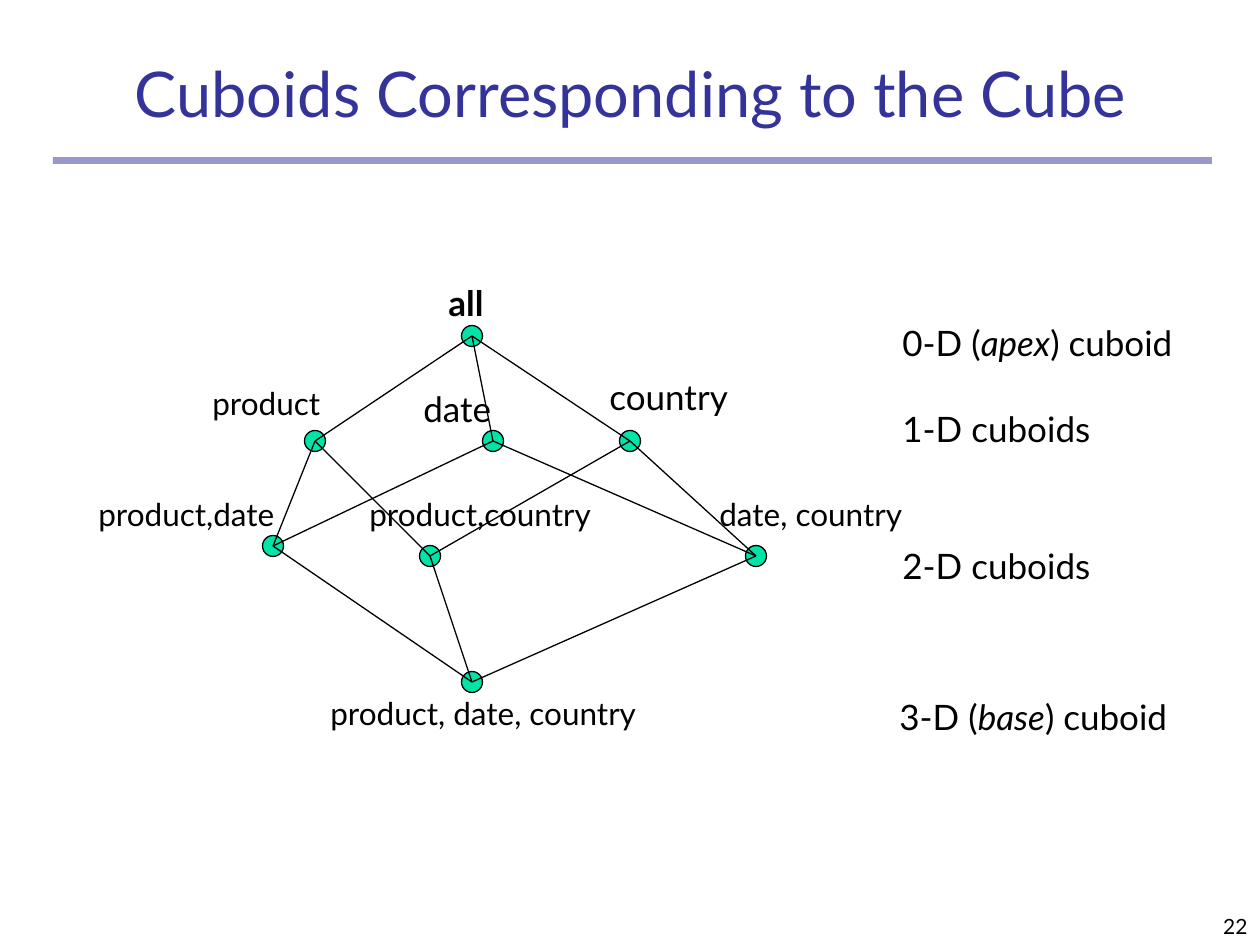
from lxml import etree
from pptx import Presentation
from pptx.dml.color import RGBColor
from pptx.enum.shapes import MSO_CONNECTOR, MSO_SHAPE
from pptx.enum.text import MSO_ANCHOR, PP_ALIGN
from pptx.oxml.ns import qn
from pptx.util import Pt

SCALE = 914400 / 126
FONT = "Lato"
NAVY = RGBColor(0x33, 0x33, 0x99)
GREEN = RGBColor(0x00, 0xE4, 0xA8)
BLACK = RGBColor(0x00, 0x00, 0x00)
RECT, NODE = MSO_SHAPE.RECTANGLE, MSO_SHAPE.FLOWCHART_CONNECTOR
STRAIGHT = MSO_CONNECTOR.STRAIGHT
TOP, BOTTOM = MSO_ANCHOR.TOP, MSO_ANCHOR.BOTTOM
LEFT, CENTER, RIGHT = PP_ALIGN.LEFT, PP_ALIGN.CENTER, PP_ALIGN.RIGHT

NODE_SIZE = 21
LINE_WIDTH = Pt(0.75)
NODES = {
    "all": (472, 336),
    "product": (315, 441),
    "date": (493, 441),
    "country": (630, 441),
    "product,date": (273, 546),
    "product,country": (430, 556),
    "date,country": (756, 556),
    "product,date,country": (472, 682),
}
EDGES = [
    ("all", "product"),
    ("all", "country"),
    ("all", "date"),
    ("product", "product,date"),
    ("date", "product,date"),
    ("product", "product,country"),
    ("country", "product,country"),
    ("date", "date,country"),
    ("country", "date,country"),
    ("product,date", "product,date,country"),
    ("product,country", "product,date,country"),
    ("date,country", "product,date,country"),
]
SMALL_LABELS = [
    ("product", 200, 378, 141),
    ("product,date", 86, 489, 217),
    ("product,country", 357, 489, 263),
    ("date, country", 707, 489, 222),
    ("product, date, country", 318, 688, 354),
]
LARGE_LABELS = [
    ("date", 411, 381, 98),
    ("country", 597, 369, 151),
    ("0-D (*apex*) cuboid", 890, 315, 307),
    ("1-D cuboids", 890, 401, 221),
    ("2-D cuboids", 890, 538, 221),
    ("3-D (*base*) cuboid", 887, 689, 306),
]


def px(n):
    return round(n * SCALE)


def add_text(s, text, x, y, w, h, size=20, color=BLACK, bold=False,
             align=LEFT, anchor=TOP, wrap=False):
    tf = s.shapes.add_textbox(px(x), px(y), px(w), px(h)).text_frame
    tf.word_wrap = wrap
    tf.vertical_anchor = anchor
    p = tf.paragraphs[0]
    p.alignment = align
    for i, part in enumerate(text.split("*")):
        r = p.add_run()
        r.text = part
        r.font.name = FONT
        r.font.size = Pt(size)
        r.font.bold = bold
        r.font.italic = i % 2 == 1
        r.font.color.rgb = color


def add_rule(s, x, y, w, h):
    sp = s.shapes.add_shape(RECT, px(x), px(y), px(w), px(h))
    sp.shadow.inherit = False
    sp.fill.solid()
    sp.fill.fore_color.rgb = NAVY
    sp.line.fill.background()
    clr = sp.fill._xPr.find(qn("a:solidFill")).find(qn("a:srgbClr"))
    etree.SubElement(clr, qn("a:alpha"), val="50000")


def add_node(s, cx, cy):
    half = NODE_SIZE / 2
    sp = s.shapes.add_shape(NODE, px(cx - half), px(cy - half),
                            px(NODE_SIZE), px(NODE_SIZE))
    sp.shadow.inherit = False
    sp.fill.solid()
    sp.fill.fore_color.rgb = GREEN
    sp.line.color.rgb = BLACK
    sp.line.width = LINE_WIDTH


def add_edge(s, start, end):
    cxn = s.shapes.add_connector(STRAIGHT, *map(px, start + end))
    cxn.line.color.rgb = BLACK
    cxn.line.width = LINE_WIDTH
    etree.SubElement(cxn._element.spPr, qn("a:effectLst"))


def main():
    prs = Presentation()
    prs.slide_width, prs.slide_height = px(1260), px(945)
    s = prs.slides.add_slide(prs.slide_layouts[6])

    add_rule(s, 53, 157, 1159, 7)
    add_text(s, "22", 998, 882, 262, 63, size=12,
             align=RIGHT, anchor=BOTTOM, wrap=True)
    add_text(s, "Cuboids Corresponding to the Cube", 53, 42, 1155, 94, size=36,
             color=NAVY, align=CENTER, anchor=BOTTOM, wrap=True)

    for center in NODES.values():
        add_node(s, *center)
    for start, end in EDGES:
        add_edge(s, NODES[start], NODES[end])

    add_text(s, "all", 436, 275, 68, 55, bold=True)
    for text, x, y, w in SMALL_LABELS:
        add_text(s, text, x, y, w, 50, size=18)
    for text, x, y, w in LARGE_LABELS:
        add_text(s, text, x, y, w, 55)

    prs.save("out.pptx")


if __name__ == "__main__":
    main()
